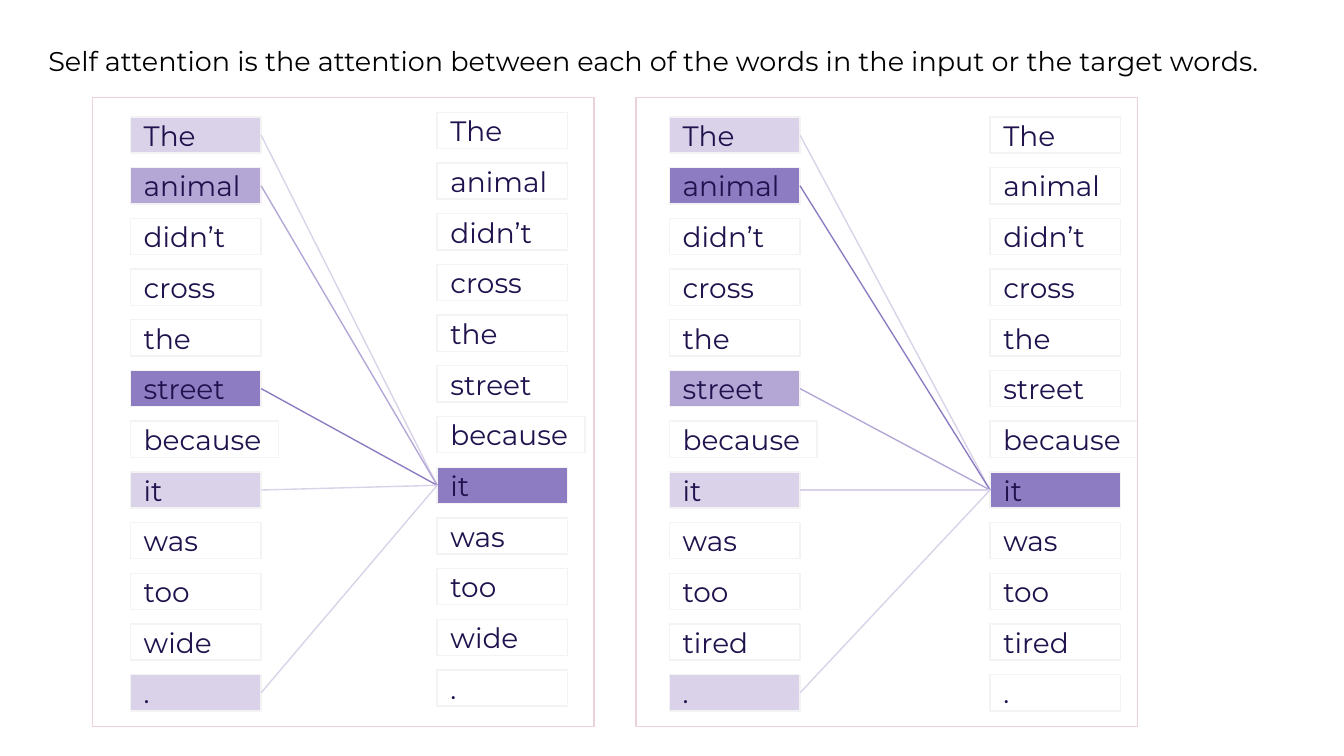
from pptx import Presentation
from pptx.dml.color import RGBColor
from pptx.enum.shapes import MSO_CONNECTOR, MSO_SHAPE
from pptx.enum.text import MSO_ANCHOR, PP_ALIGN
from pptx.oxml import parse_xml
from pptx.oxml.ns import nsdecls
from pptx.util import Pt

COLORS = {
    "white": "FFFFFF", "black": "000000", "ink": "20124D",
    "low": "D9D2E9", "mid": "B4A7D6", "high": "8E7CC3",
    "edge": "F3F3F3", "frame": "EAD1DC",
}
PITCH = 27.16
FOCUS = 7  # row of "it"


class Board:
    def __init__(self, slide, font):
        self.slide = slide
        self.font = font

    def color(self, name):
        return RGBColor.from_string(COLORS[name])

    def label(self, shape, text, size, color):
        frame = shape.text_frame
        frame.text = text
        frame.word_wrap = True
        frame.margin_left = frame.margin_right = Pt(7.2)
        frame.margin_top = frame.margin_bottom = Pt(7.2)
        line = frame.paragraphs[0]
        line.alignment = PP_ALIGN.LEFT
        font = line.runs[0].font
        font.name, font.size = self.font, Pt(size)
        font.color.rgb = self.color(color)
        return frame

    def title(self, text, left, top, width, height):
        box = self.slide.shapes.add_textbox(Pt(left), Pt(top), Pt(width), Pt(height))
        self.label(box, text, 14.5, "black").paragraphs[0].line_spacing = 1.36

    def rect(self, left, top, width, height, line, fill=None):
        box = self.slide.shapes.add_shape(
            MSO_SHAPE.RECTANGLE, Pt(left), Pt(top), Pt(width), Pt(height))
        box.shadow.inherit = False
        if fill:
            box.fill.solid()
            box.fill.fore_color.rgb = self.color(fill)
        else:
            box.fill.background()
        box.line.color.rgb = self.color(line)
        box.line.width = Pt(0.75)
        return box

    def column(self, words, left, top, fills):
        """Stack one box per word; fills maps a row to its colour name."""
        boxes = []
        for row, word in enumerate(words):
            width = 79.2 if word == "because" else 70
            box = self.rect(left, top + row * PITCH, width, 19.4,
                            "edge", fills.get(row, "white"))
            self.label(box, word, 15, "ink").vertical_anchor = MSO_ANCHOR.MIDDLE
            boxes.append(box)
        return boxes

    def link(self, start, end, color):
        """Join the right side of start to the left side of end."""
        line = self.slide.shapes.add_connector(MSO_CONNECTOR.STRAIGHT, 0, 0, 0, 0)
        line.begin_connect(start, 3)
        line.end_connect(end, 1)
        line.line.color.rgb = self.color(color)
        line.line.width = Pt(0.75)
        line._element.spPr.append(parse_xml(f"<a:effectLst {nsdecls('a')}/>"))


def main():
    deck = Presentation()
    deck.slide_width, deck.slide_height = Pt(720), Pt(405)
    board = Board(deck.slides.add_slide(deck.slide_layouts[6]), "Montserrat")

    start = "The animal didn’t cross the street because it was too".split()
    # last word, frame left, source left, target left, target top, weights by row
    panels = [
        ("wide", 49.7, 69.9, 234.2, 60.2,
         {0: "low", 1: "mid", 5: "high", 7: "low", 11: "low"}),
        ("tired", 340.8, 358.6, 530.4, 62.7,
         {0: "low", 1: "high", 5: "mid", 7: "low", 11: "low"}),
    ]
    for last, edge, left, right, top, weights in panels:
        words = start + [last, "."]
        sources = board.column(words, left, 62.7, weights)
        targets = board.column(words, right, top, {FOCUS: "high"})
        for row, color in weights.items():
            board.link(sources[row], targets[FOCUS], color)
        board.rect(edge, 52.2, 268.6, 337, "frame")

    board.title("Self attention is the attention between each of the words "
                "in the input or the target words.", 18.8, 10.1, 690, 42.5)
    deck.save("out.pptx")


if __name__ == "__main__":
    main()
